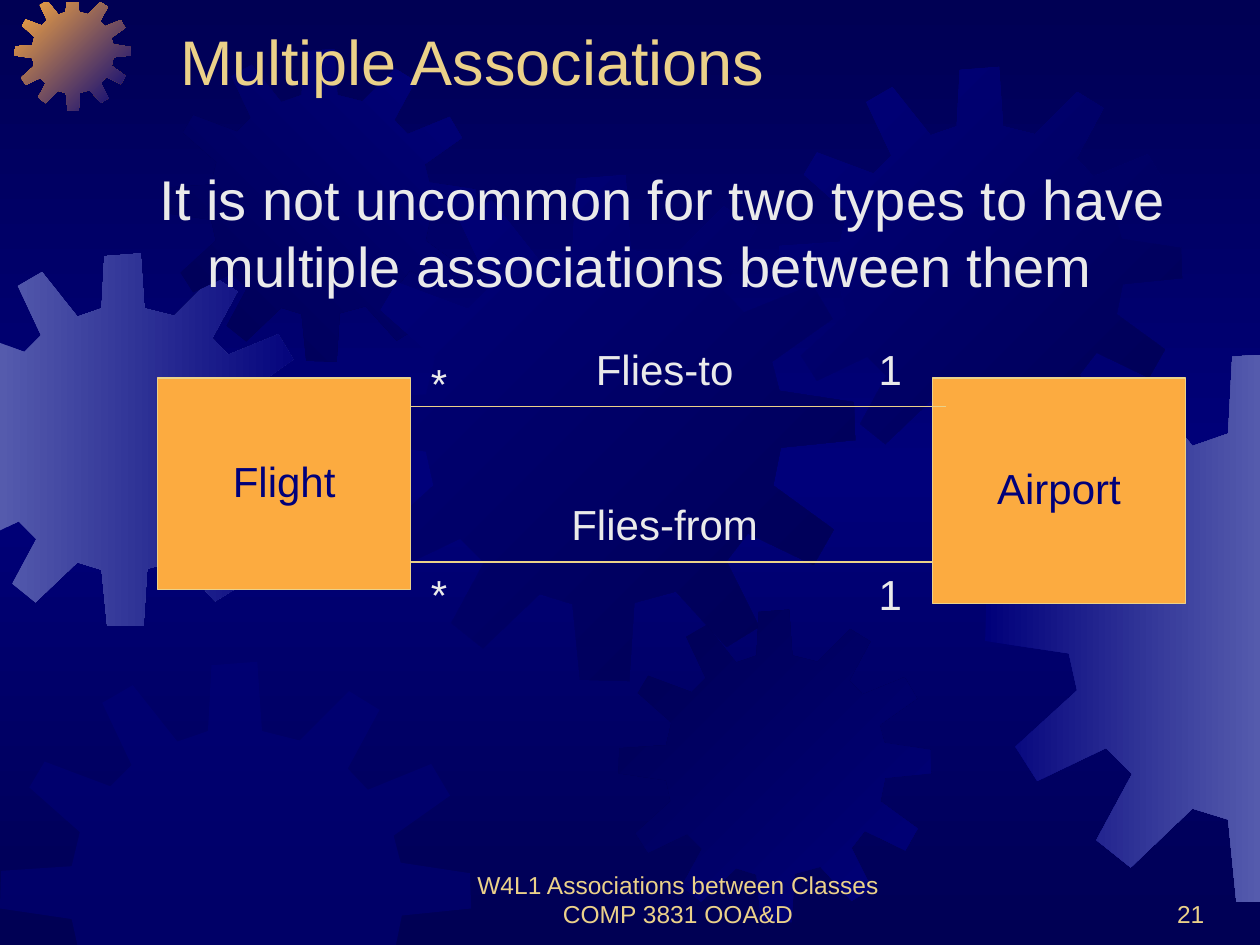
import copy

import pptx
import pptx.dml.color
import pptx.enum.shapes
import pptx.enum.text
import pptx.oxml
import pptx.oxml.ns
import pptx.util
from pptx.util import Cm

ALIGN = pptx.enum.text.PP_ALIGN
ANCHOR = pptx.enum.text.MSO_ANCHOR
WIDTH, HEIGHT = 25.4, 19.05
NAVY, BLUE, HAZE = "000054", "00007A", "555BAD"
GOLD, ORANGE, PALE = "EBD189", "FCAB40", "EAEAEA"

# One gear outline, on a square grid of GEAR_GRID units
GEAR_GRID = 401
GEAR = [
    (255, 67), (223, 59), (219, 0), (180, 3), (177, 59), (151, 68),
    (113, 20), (87, 35), (112, 88), (94, 106), (38, 85), (25, 107),
    (68, 145), (61, 174), (1, 178), (0, 210), (61, 219), (67, 246),
    (22, 287), (38, 312), (88, 288), (107, 307), (81, 355), (106, 375),
    (151, 332), (177, 340), (183, 400), (222, 401), (226, 339), (259, 330),
    (299, 374), (325, 358), (299, 306), (316, 284), (368, 309), (384, 281),
    (336, 246), (342, 216), (401, 210), (400, 180), (341, 171), (335, 148),
    (383, 114), (367, 87), (313, 109), (296, 91), (323, 41), (297, 25),
]


def color(hex_text):
    return pptx.dml.color.RGBColor.from_string(hex_text)


def clip(points, axis, limit, side):
    """Cut a polygon at a limit on one axis; side is 1 to keep above, -1 below."""
    kept = []
    for start, end in zip(points, points[1:] + points[:1]):
        start_in = side * (start[axis] - limit) >= 0
        end_in = side * (end[axis] - limit) >= 0
        if start_in:
            kept.append(start)
        if start_in != end_in:
            part = (limit - start[axis]) / (end[axis] - start[axis])
            kept.append(tuple(a + part * (b - a) for a, b in zip(start, end)))
    return kept


def write(frame, text, size=24, ink=PALE, align=ALIGN.LEFT, anchor=ANCHOR.TOP,
          wrap=True, inset=(0.25, 0.13), before=0, line=1.0, hanging=0):
    frame.word_wrap = wrap
    frame.vertical_anchor = anchor
    frame.margin_left = frame.margin_right = Cm(inset[0])
    frame.margin_top = frame.margin_bottom = Cm(inset[1])
    frame.text = text
    for paragraph in frame.paragraphs:
        paragraph.alignment = align
        paragraph.space_before = pptx.util.Pt(before)
        paragraph.line_spacing = line
        paragraph.font.name = "Arial"
        paragraph.font.size = pptx.util.Pt(size)
        paragraph.font.color.rgb = color(ink)
        if hanging:
            properties = paragraph.runs[0]._r.getparent().get_or_add_pPr()
            properties.set("marL", str(Cm(hanging)))
            properties.set("indent", str(-Cm(hanging)))


class Diagram:
    LABEL = dict(align=ALIGN.CENTER, anchor=ANCHOR.MIDDLE, wrap=False,
                 inset=(0, 0), before=6, line=0.9)
    LABEL_HEIGHT = 1.42

    def __init__(self, slide):
        self.slide = slide
        self.shapes = slide.shapes

    def gradient(self, fill, owner, colors, angle):
        fill.gradient()
        fill.gradient_angle = -angle % 360
        stop_list = next(owner.iter(pptx.oxml.ns.qn("a:gsLst")))
        for _ in colors[2:]:
            stop_list.append(copy.deepcopy(stop_list[-1]))
        for index, (stop, shade) in enumerate(zip(fill.gradient_stops, colors)):
            stop.color.rgb = color(shade)
            stop.position = index / (len(colors) - 1)

    def background(self, *colors):
        self.gradient(self.slide.background.fill, self.slide.element, colors, 90)

    def gear(self, left, top, size, colors, angle=0, opacity=None):
        scale = size / GEAR_GRID
        points = [(left + x * scale, top + y * scale) for x, y in GEAR]
        for axis, limit, side in ((0, 0, 1), (0, WIDTH, -1),
                                  (1, 0.05, 1), (1, HEIGHT, -1)):
            points = clip(points, axis, limit, side)
        corners = [(Cm(x), Cm(y)) for x, y in points]
        builder = self.shapes.build_freeform(*corners[0])
        builder.add_line_segments(corners[1:])
        wheel = builder.convert_to_shape()
        wheel.shadow.inherit = False
        wheel.line.fill.background()
        if opacity is None:
            self.gradient(wheel.fill, wheel.element, colors, angle)
        else:
            wheel.fill.solid()
            wheel.fill.fore_color.rgb = color(colors[0])
            shade = next(wheel.element.iter(pptx.oxml.ns.qn("a:srgbClr")))
            alpha = pptx.oxml.parse_xml(
                f'<a:alpha {pptx.oxml.ns.nsdecls("a")} val="{opacity * 1000}"/>')
            shade.append(alpha)

    def text(self, left, top, width, height, text, **style):
        box = self.shapes.add_textbox(Cm(left), Cm(top), Cm(width), Cm(height))
        write(box.text_frame, text, **style)

    def label(self, center, top, width, text):
        self.text(center - width / 2, top, width, self.LABEL_HEIGHT, text,
                  **self.LABEL)

    def class_box(self, left, top, width, height, name):
        box = self.shapes.add_shape(pptx.enum.shapes.MSO_SHAPE.RECTANGLE,
                                    Cm(left), Cm(top), Cm(width), Cm(height))
        box.shadow.inherit = False
        box.fill.solid()
        box.fill.fore_color.rgb = color(ORANGE)
        self.outline(box.line)
        write(box.text_frame, name, ink=BLUE, **self.LABEL)

    def association(self, start, end, y):
        link = self.shapes.add_connector(pptx.enum.shapes.MSO_CONNECTOR.STRAIGHT,
                                         Cm(start), Cm(y), Cm(end), Cm(y))
        self.outline(link.line)
        link.element.spPr.append(pptx.oxml.parse_xml(
            f'<a:effectLst {pptx.oxml.ns.nsdecls("a")}/>'))

    def outline(self, line):
        line.color.rgb = color(GOLD)
        line.width = pptx.util.Pt(0.75)


def main():
    deck = pptx.Presentation()
    deck.slide_width, deck.slide_height = Cm(WIDTH), Cm(HEIGHT)
    diagram = Diagram(deck.slides.add_slide(deck.slide_layouts[6]))

    # Backdrop of gears
    diagram.background(NAVY, BLUE, NAVY)
    diagram.gear(-1.27, 5.11, 7.52, (HAZE, BLUE))
    diagram.gear(0.3, -0.1, 2.33, (ORANGE, BLUE), 45)
    diagram.gear(3.3, 0.99, 6.3, (NAVY, BLUE), 315)
    diagram.gear(7.04, 3.53, 10.2, (BLUE, NAVY), 45)
    diagram.gear(0, 13.34, 9.5, (BLUE,), opacity=50)
    diagram.gear(12.47, 12.29, 6.3, (NAVY, BLUE), 45)
    diagram.gear(15.7, 1.35, 8.13, (BLUE, NAVY), 45)
    diagram.gear(19.86, 7.11, 11.1, (BLUE, HAZE))

    # Footer and slide number
    footer = dict(size=14, ink=GOLD, anchor=ANCHOR.BOTTOM)
    diagram.text(8.69, 17.58, 9.96, 1.27,
                 "W4L1 Associations between Classes\nCOMP 3831 OOA&D",
                 align=ALIGN.CENTER, **footer)
    diagram.text(19.25, 17.58, 5.28, 1.27, "21", align=ALIGN.RIGHT, **footer)

    # Title and statement
    diagram.text(3.38, 0.33, 21.59, 1.78, "Multiple Associations",
                 size=36, ink=GOLD, anchor=ANCHOR.BOTTOM)
    diagram.text(2.97, 3.18, 21.79, 3.61,
                 "It is not uncommon for two types to have "
                 "multiple associations between them",
                 size=32, before=8, hanging=0.97)

    # Classes and their associations
    diagram.class_box(3.18, 7.62, 5.1, 4.27, "Flight")
    diagram.class_box(18.8, 7.62, 5.1, 4.55, "Airport")
    diagram.association(8.28, 19.08, 8.2)
    diagram.association(8.28, 18.8, 11.33)

    # Multiplicities and association names
    for center, top, width, text in (
            (8.85, 7.06, 2.27, "*"), (8.85, 11.33, 2.27, "*"),
            (17.95, 6.78, 2.27, "1"), (17.95, 11.33, 2.27, "1"),
            (13.4, 6.78, 4.2, "Flies-to"), (13.4, 9.91, 4.2, "Flies-from")):
        diagram.label(center, top, width, text)

    deck.save("out.pptx")


if __name__ == "__main__":
    main()
